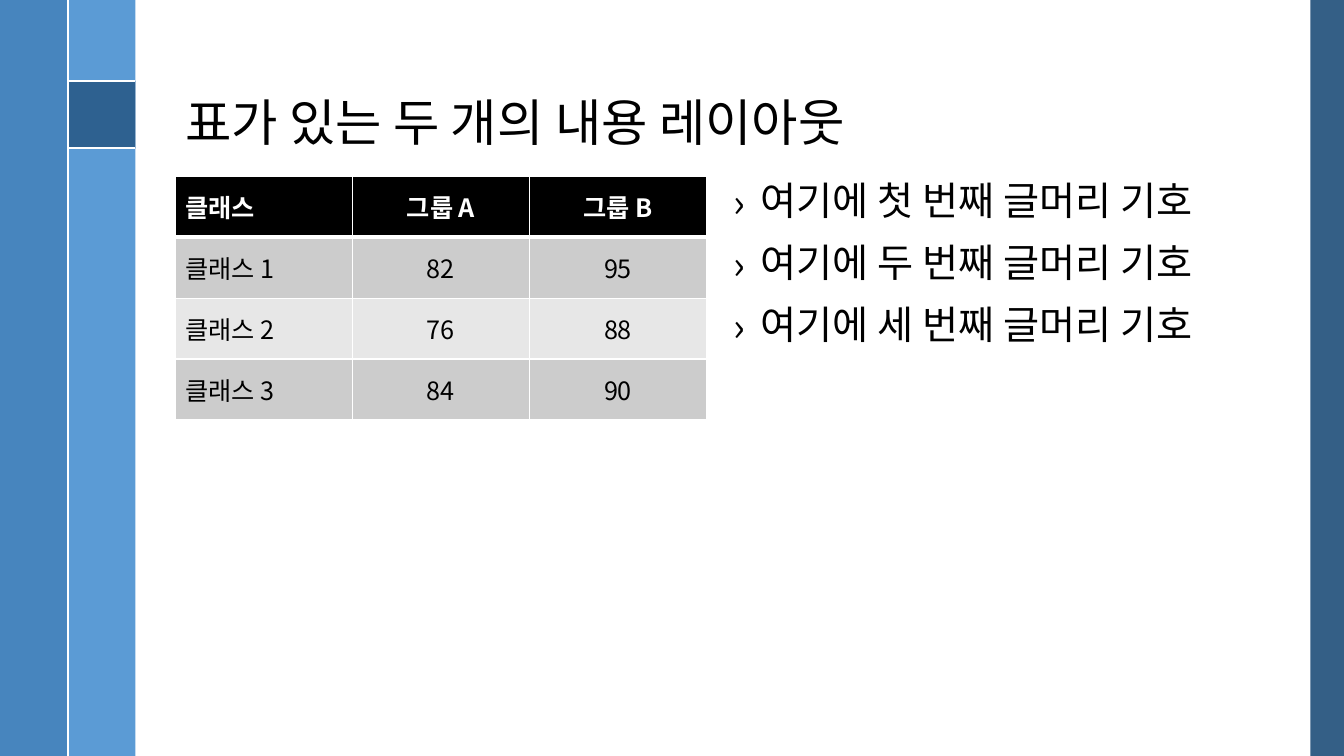
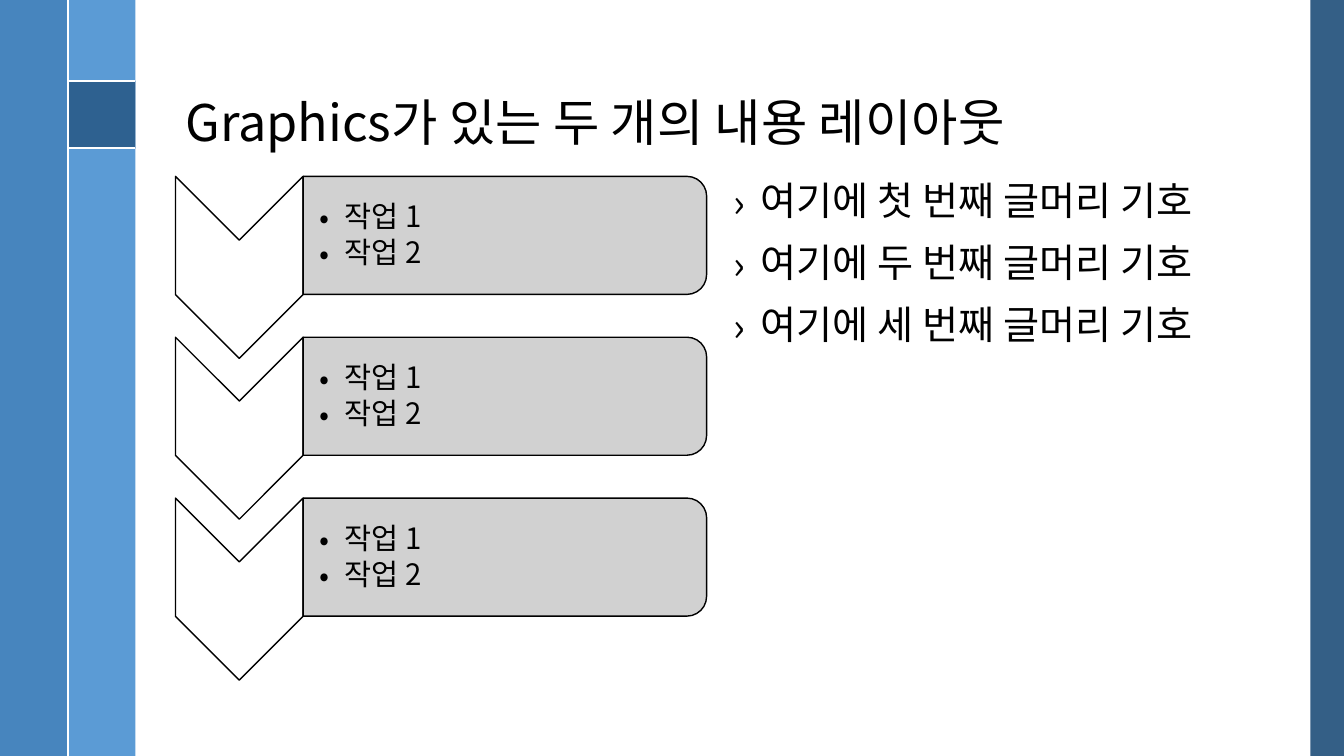
from dataclasses import dataclass

from lxml import etree
from pptx import Presentation
from pptx.dml import color
from pptx.enum import shapes, text
from pptx.oxml import ns
from pptx.util import Pt

FONT = "Noto Sans CJK KR"
BLACK, WHITE = "000000", "FFFFFF"
NAVY, BLUE, SKY = "1F4E79", "2E75B6", "5B9BD5"
GRAY, PALE = "CCCCCC", "E7E7E7"
WIDTH, HEIGHT = 960, 540
BAND = 48.4
LEFT, TOP = 125.3, 126
COLUMN = 379.4


@dataclass
class Box:
    x: float
    y: float
    w: float
    h: float

    def emu(self) -> tuple:
        return Pt(self.x), Pt(self.y), Pt(self.w), Pt(self.h)

    def turned(self) -> "Box":
        shift = (self.w - self.h) / 2
        return Box(self.x + shift, self.y - shift, self.h, self.w)


@dataclass
class Band:
    box: Box
    fill: str
    alpha: int = 100


@dataclass
class Rule:
    x1: float
    y1: float
    x2: float
    y2: float


@dataclass
class Style:
    size: float
    line: float
    before: float = 0
    after: float = 0
    bullet: str = ""
    indent: float = 0
    anchor: text.MSO_ANCHOR = text.MSO_ANCHOR.TOP
    insets: tuple = (7.2, 3.6, 7.2, 3.6)


SQUARE_TOP, SQUARE_END = 58, 106
BANDS = [
    Band(Box(936, 0, 24, HEIGHT), NAVY, 90),
    Band(Box(BAND, 0, BAND, HEIGHT), SKY),
    Band(Box(0, 0, BAND, HEIGHT), BLUE, 88),
    Band(Box(BAND, SQUARE_TOP, BAND, SQUARE_END - SQUARE_TOP), NAVY, 75),
]
RULES = [
    Rule(BAND, SQUARE_TOP, 2 * BAND, SQUARE_TOP),
    Rule(BAND, SQUARE_END, 2 * BAND, SQUARE_END),
    Rule(BAND, 0, BAND, HEIGHT),
]
TITLE = Style(36, 39, anchor=text.MSO_ANCHOR.BOTTOM)
BODY = Style(28, 30.3, before=14, bullet="›", indent=19.4)
TASK = Style(21, 22.7, after=3.15, bullet="•", indent=18,
             anchor=text.MSO_ANCHOR.MIDDLE, insets=(11.5, 0.7, 0.7, 0.7))
BULLETS = [f"여기에 {n} 번째 글머리 기호" for n in ("첫", "두", "세")]
SCORES = [
    ("클래스", "그룹 A", "그룹 B"),
    ("클래스 1", "82", "95"),
    ("클래스 2", "76", "88"),
    ("클래스 3", "84", "90"),
]


def rgb(value: str) -> color.RGBColor:
    return color.RGBColor.from_string(value)


def paint(fill, value: str, alpha: int = 100) -> None:
    fill.solid()
    fill.fore_color.rgb = rgb(value)
    if alpha < 100:
        clr = fill._xPr.find(".//" + ns.qn("a:srgbClr"))
        etree.SubElement(clr, ns.qn("a:alpha"), val=str(alpha * 1000))


def write(p, words: str, size: float, hue: str = BLACK, bold: bool = False) -> None:
    r = p.add_run()
    r.text = words
    formats = {"name": FONT, "size": Pt(size), "bold": bold}
    for name, value in formats.items():
        setattr(r.font, name, value)
    r.font.color.rgb = rgb(hue)
    etree.SubElement(r._r.get_or_add_rPr(), ns.qn("a:ea"), typeface=FONT)


def add_text(s, box: Box, lines: list[str], style: Style) -> None:
    tf = s.shapes.add_textbox(*box.emu()).text_frame
    left, top, right, bottom = map(Pt, style.insets)
    frame = {"word_wrap": True, "vertical_anchor": style.anchor,
             "margin_left": left, "margin_top": top,
             "margin_right": right, "margin_bottom": bottom}
    for name, value in frame.items():
        setattr(tf, name, value)
    for i, words in enumerate(lines):
        p = tf.add_paragraph() if i else tf.paragraphs[0]
        spacing = {"line_spacing": Pt(style.line), "space_before": Pt(style.before),
                   "space_after": Pt(style.after)}
        for name, value in spacing.items():
            setattr(p, name, value)
        if style.bullet:
            pPr = p._p.get_or_add_pPr()
            pPr.set("marL", str(Pt(style.indent)))
            pPr.set("indent", str(-Pt(style.indent)))
            etree.SubElement(pPr, ns.qn("a:buFont"), typeface=FONT)
            etree.SubElement(pPr, ns.qn("a:buChar"), char=style.bullet)
        write(p, words, style.size)


def add_shape(s, kind, box: Box, fill: str, alpha: int = 100,
              outline: str = "", rotation: int = 0) -> None:
    frame = box.turned() if rotation else box
    sp = s.shapes.add_shape(kind, *frame.emu())
    sp.rotation = rotation
    sp.shadow.inherit = False
    paint(sp.fill, fill, alpha)
    if outline:
        paint(sp.line.fill, outline)
        sp.line.width = Pt(1)
    else:
        sp.line.fill.background()


def add_rule(s, rule: Rule) -> None:
    ends = map(Pt, (rule.x1, rule.y1, rule.x2, rule.y2))
    line = s.shapes.add_connector(shapes.MSO_CONNECTOR.STRAIGHT, *ends)
    paint(line.line.fill, WHITE)
    line.line.width = Pt(1.5)
    etree.SubElement(line._element.spPr, ns.qn("a:effectLst"))


def add_slide(prs, title: str):
    s = prs.slides.add_slide(prs.slide_layouts[6])
    paint(s.background.fill, WHITE)
    for band in BANDS:
        add_shape(s, shapes.MSO_SHAPE.RECTANGLE, band.box, band.fill, band.alpha)
    for rule in RULES:
        add_rule(s, rule)
    add_text(s, Box(LEFT, 13.5, 770.4, 98), [title], TITLE)
    add_text(s, Box(517, TOP, COLUMN, 360), BULLETS, BODY)
    return s


def add_borders(cell, bottom: float, top: float) -> None:
    tcPr = cell._tc.get_or_add_tcPr()
    widths = {"lnL": 1, "lnR": 1, "lnT": top, "lnB": bottom}
    for i, (side, width) in enumerate(widths.items()):
        ln = etree.Element(ns.qn("a:" + side), w=str(Pt(width)))
        solid = etree.SubElement(ln, ns.qn("a:solidFill"))
        etree.SubElement(solid, ns.qn("a:srgbClr"), val=WHITE)
        tcPr.insert(i, ln)


def add_scores(s) -> None:
    box = Box(LEFT, TOP, COLUMN, 174)
    table = s.shapes.add_table(len(SCORES), len(SCORES[0]), *box.emu()).table
    for i, row in enumerate(SCORES):
        header = i == 0
        fill = BLACK if header else (PALE, GRAY)[i % 2]
        for j, words in enumerate(row):
            cell = table.cell(i, j)
            cell.vertical_anchor = text.MSO_ANCHOR.MIDDLE
            paint(cell.fill, fill)
            add_borders(cell, 3 if header else 1, 3 if i == 1 else 1)
            p = cell.text_frame.paragraphs[0]
            p.alignment = text.PP_ALIGN.CENTER if j else text.PP_ALIGN.LEFT
            write(p, words, 18, WHITE if header else BLACK, header)


def add_steps(s) -> None:
    arrow, panel, pitch = 91.2, 84.3, 114.9
    for i in range(3):
        y = TOP + i * pitch
        x = LEFT + arrow
        add_shape(s, shapes.MSO_SHAPE.CHEVRON, Box(LEFT, y, arrow, 130),
                  WHITE, outline=BLACK, rotation=90)
        add_shape(s, shapes.MSO_SHAPE.ROUND_2_SAME_RECTANGLE,
                  Box(x, y, COLUMN - arrow, panel), GRAY, 90, BLACK, 90)
        add_text(s, Box(x, y + 4.1, 283.7, 76.1), ["작업 1", "작업 2"], TASK)


prs = Presentation()
prs.slide_width, prs.slide_height = Pt(WIDTH), Pt(HEIGHT)
add_scores(add_slide(prs, "표가 있는 두 개의 내용 레이아웃"))
add_steps(add_slide(prs, "Graphics가 있는 두 개의 내용 레이아웃"))
prs.save("out.pptx")
